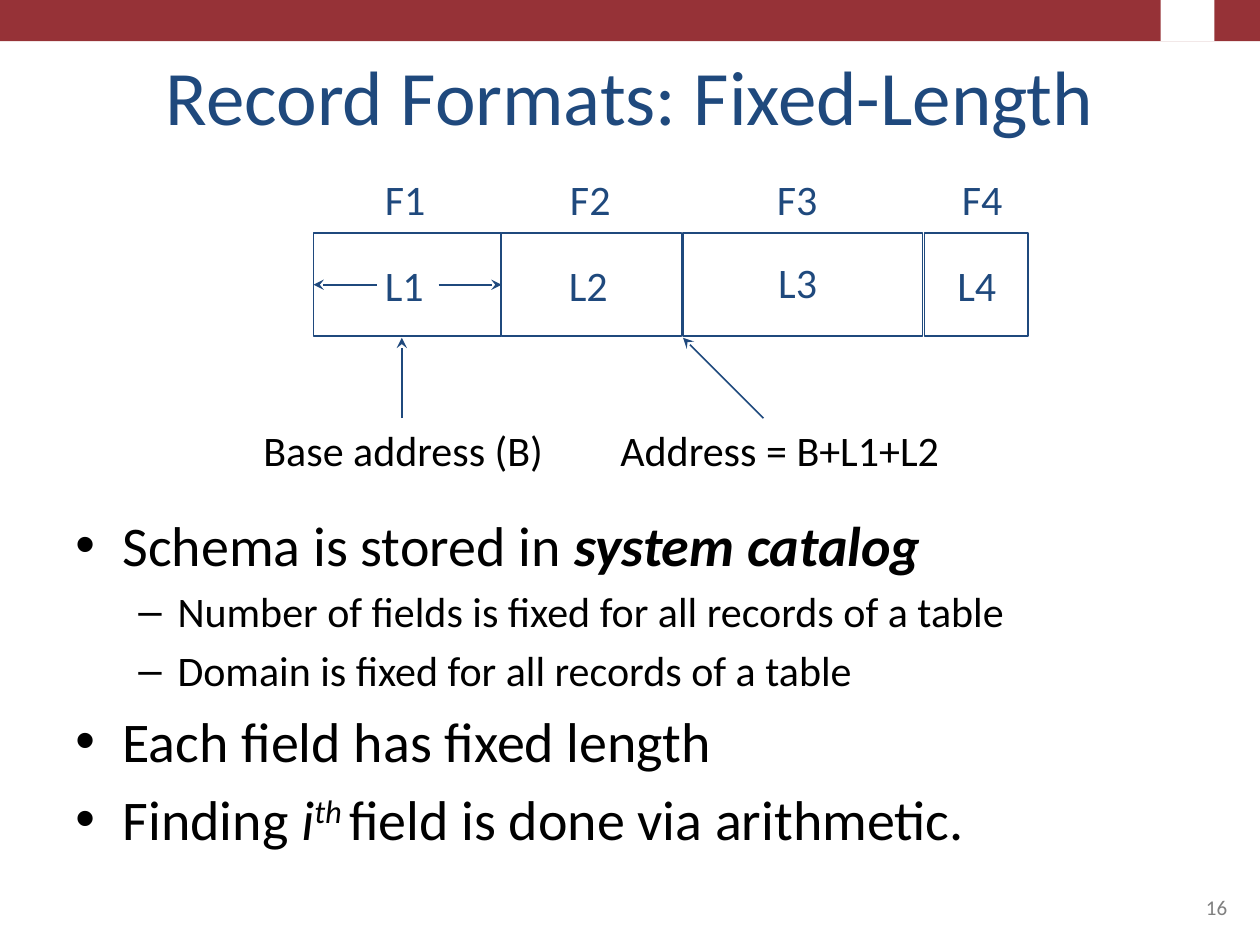
from lxml import etree
from pptx import Presentation
from pptx.dml.color import RGBColor
from pptx.enum.shapes import MSO_CONNECTOR as Connector, MSO_SHAPE as Shape
from pptx.enum.text import MSO_ANCHOR as Anchor, PP_ALIGN as Align
from pptx.oxml.ns import qn
from pptx.util import Cm, Pt

BLUE = RGBColor(0x1F, 0x49, 0x7D)
RED = RGBColor(0x96, 0x32, 0x37)
BLACK = RGBColor(0, 0, 0)
GRAY = RGBColor(0x80, 0x80, 0x80)
WHITE = RGBColor(0xFF, 0xFF, 0xFF)
FONT = "Calibri"

# Content; lengths in cm
TITLE = "Record Formats: Fixed-Length"
PAGE_NUMBER = "16"
FIELDS = [  # name, name centre, length, length centre, length top, left, width
    ("F1", 8.17, "L1", 8.15, 5.1, 6.32, 3.78),
    ("F2", 11.9, "L2", 11.86, 5.1, 10.11, 3.63),
    ("F3", 16.07, "L3", 16.08, 5.05, 13.77, 4.83),
    ("F4", 19.8, "L4", 19.69, 5.1, 18.64, 2.08),
]
FIELD_TOP, FIELD_HEIGHT = 4.7, 2.08
NAME_TOP, CAPTION_TOP, LABEL_HEIGHT = 3.38, 8.43, 1.3
CAPTIONS = [("Base address (B)", 8.13, 6.2), ("Address = B+L1+L2", 15.72, 7.01)]
ARROWS = [  # from x, from y, to x, to y
    (8.1, 8.43, 8.1, 6.81),
    (7.59, 5.74, 6.32, 5.74),
    (8.84, 5.74, 10.11, 5.74),
    (15.39, 8.43, 13.77, 6.81),
]
BULLETS = [  # level, runs of (text, style)
    (0, [("Schema is stored in ", ""), ("system catalog", "bold italic")]),
    (1, [("Number of fields is fixed for all records of a table", "")]),
    (1, [("Domain is fixed for all records of a table", "")]),
    (0, [("Each field has fixed length", "")]),
    (0, [("Finding ", ""), ("i", "italic"), ("th ", "italic super"),
         ("field is done via arithmetic.", "")]),
]
LEVELS = [("•", 32, 0.95, 0.95), ("–", 24, 2.06, 0.79)]  # mark, size, margin, hang

presentation = Presentation()
presentation.slide_width, presentation.slide_height = Cm(25.4), Cm(19.05)
slide = presentation.slides.add_slide(presentation.slide_layouts[6])


def set_font(font, size, color):
    font.name, font.size = FONT, Pt(size)
    font.color.rgb = color


def add_rectangle(left, top, width, height, fill=None, line=None):
    shape = slide.shapes.add_shape(
        Shape.RECTANGLE, Cm(left), Cm(top), Cm(width), Cm(height))
    shape.shadow.inherit = False
    if fill is None:
        shape.fill.background()
    else:
        shape.fill.solid()
        shape.fill.fore_color.rgb = fill
    if line is None:
        shape.line.fill.background()
    else:
        shape.line.color.rgb = line
        shape.line.width = Pt(1)


def add_text(text, left, top, width, height, size, color,
             align=Align.CENTER, anchor=Anchor.TOP, wrap=True):
    box = slide.shapes.add_textbox(Cm(left), Cm(top), Cm(width), Cm(height))
    frame = box.text_frame
    frame.word_wrap, frame.vertical_anchor = wrap, anchor
    frame.text = text
    paragraph = frame.paragraphs[0]
    paragraph.alignment = align
    set_font(paragraph.runs[0].font, size, color)


def add_label(text, center, top, color, width=1.32):
    add_text(text, center - width / 2, top, width, LABEL_HEIGHT, 24, color,
             wrap=False)


def add_arrow(from_x, from_y, to_x, to_y):
    arrow = slide.shapes.add_connector(
        Connector.STRAIGHT, Cm(from_x), Cm(from_y), Cm(to_x), Cm(to_y))
    arrow.line.color.rgb = BLUE
    arrow.line.width = Pt(1)
    etree.SubElement(arrow.line._get_or_add_ln(), qn("a:tailEnd"), type="stealth")
    etree.SubElement(arrow._element.spPr, qn("a:effectLst"))


def add_bullet(paragraph, level, runs, first):
    mark, size, margin, hang = LEVELS[level]
    properties = paragraph._p.get_or_add_pPr()
    properties.set("marL", str(Cm(margin)))
    properties.set("indent", str(-Cm(hang)))
    etree.SubElement(properties, qn("a:buFont"), typeface="Arial")
    etree.SubElement(properties, qn("a:buChar"), char=mark)
    paragraph.level = level
    paragraph.space_before = Pt(0 if first else 0.2 * size)
    for text, style in runs:
        run = paragraph.add_run()
        run.text = text
        set_font(run.font, size, BLACK)
        run.font.bold = "bold" in style
        run.font.italic = "italic" in style
        if "super" in style:
            run.font._element.set("baseline", "30000")


# Header band with a plain block in place of the logo
add_rectangle(0, 0, 25.4, 0.83, fill=RED)
add_rectangle(23.4, 0, 1.08, 0.83, fill=WHITE)

# Title and page number
add_text(TITLE, 1.27, 0.76, 22.86, 2.21, 44, BLUE, anchor=Anchor.BOTTOM)
add_text(PAGE_NUMBER, 18.21, 17.35, 6.78, 1.32, 12, GRAY,
         align=Align.RIGHT, anchor=Anchor.BOTTOM)

# Record diagram
for name, name_center, length, length_center, length_top, left, width in FIELDS:
    add_rectangle(left, FIELD_TOP, width, FIELD_HEIGHT, line=BLUE)
    add_label(name, name_center, NAME_TOP, BLUE)
    add_label(length, length_center, length_top, BLUE)
for caption, center, width in CAPTIONS:
    add_label(caption, center, CAPTION_TOP, BLACK, width)
for ends in ARROWS:
    add_arrow(*ends)

# Bullet list
body = slide.shapes.add_textbox(Cm(1.27), Cm(10.16), Cm(22.86), Cm(6.9)).text_frame
body.word_wrap = True
for index, (level, runs) in enumerate(BULLETS):
    paragraph = body.add_paragraph() if index else body.paragraphs[0]
    add_bullet(paragraph, level, runs, first=index == 0)

presentation.save("out.pptx")
